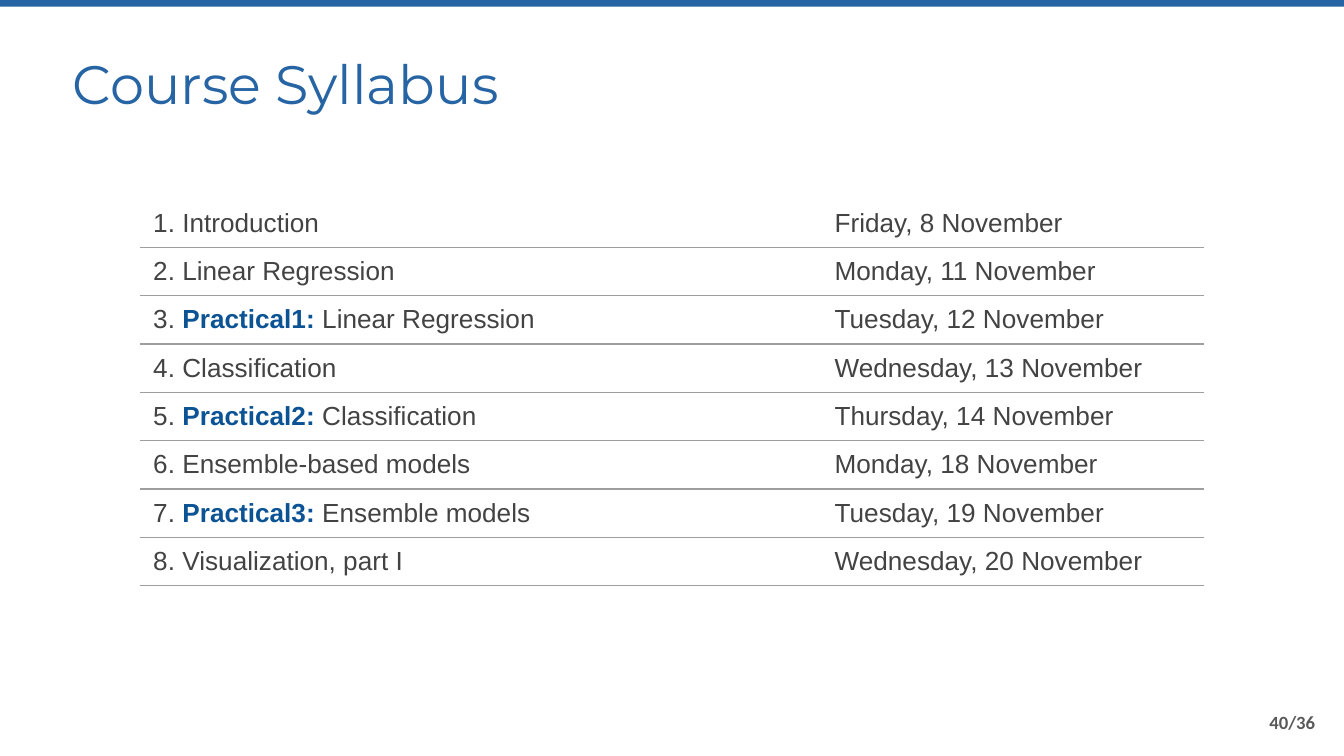
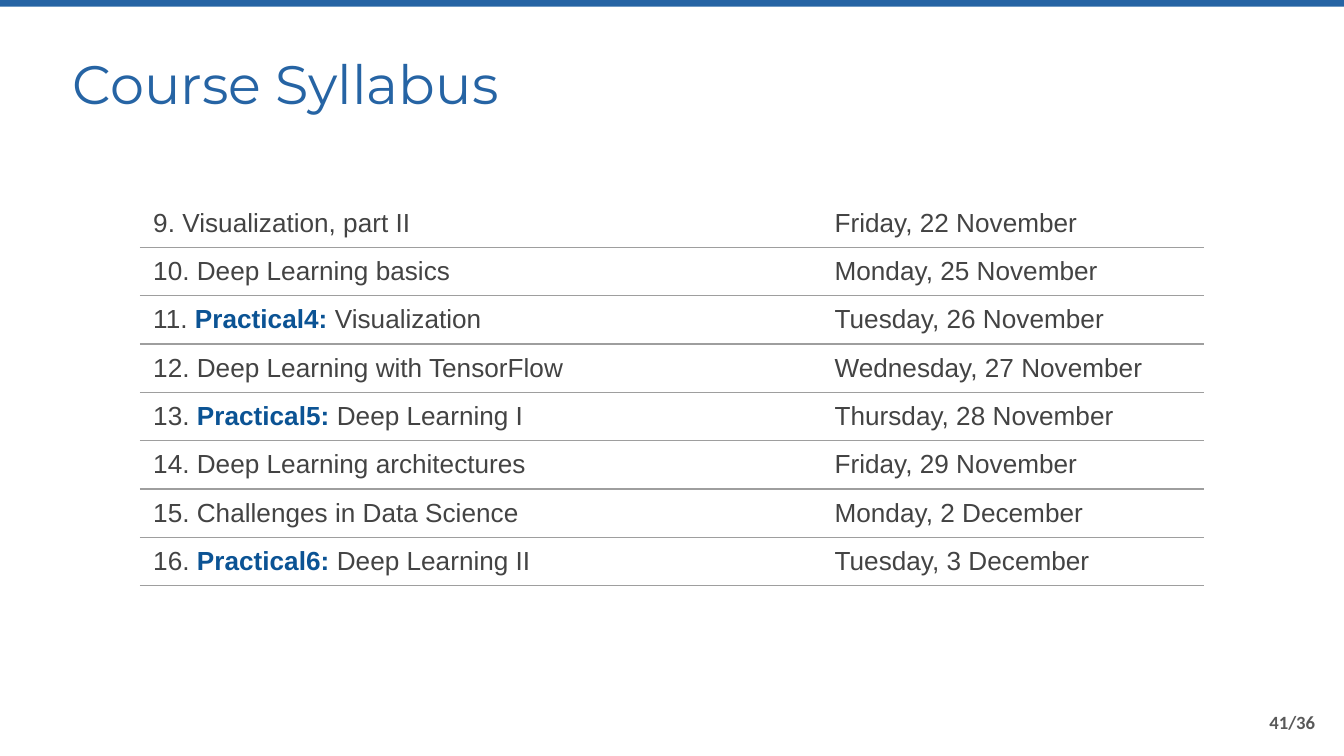
from lxml import etree
from pptx import Presentation
from pptx.dml.color import RGBColor
from pptx.enum import shapes, text
from pptx.oxml import ns
from pptx.util import Inches, Pt

BLUE = RGBColor(0x26, 0x64, 0xA4)
NAVY = RGBColor(0x0B, 0x53, 0x94)
INK = RGBColor(0x43, 0x43, 0x43)
GREY = RGBColor(0x59, 0x59, 0x59)
RULE = RGBColor(0x9E, 0x9E, 0x9E)

WIDTH = 10
TITLE = "Course Syllabus"
TOTAL = 36
FIRST = 40
COLS = (5.07, 2.85)
ROW = 0.36

PARTS = [
    [
        ("", "Introduction", "Friday, 8 November"),
        ("", "Linear Regression", "Monday, 11 November"),
        ("Practical1: ", "Linear Regression", "Tuesday, 12 November"),
        ("", "Classification", "Wednesday, 13 November"),
        ("Practical2: ", "Classification", "Thursday, 14 November"),
        ("", "Ensemble-based models", "Monday, 18 November"),
        ("Practical3: ", "Ensemble models", "Tuesday, 19 November"),
        ("", "Visualization, part I", "Wednesday, 20 November"),
    ],
    [
        ("", "Visualization, part II", "Friday, 22 November"),
        ("", "Deep Learning basics", "Monday, 25 November"),
        ("Practical4: ", "Visualization", "Tuesday, 26 November"),
        ("", "Deep Learning with TensorFlow", "Wednesday, 27 November"),
        ("Practical5: ", "Deep Learning I", "Thursday, 28 November"),
        ("", "Deep Learning architectures", "Friday, 29 November"),
        ("", "Challenges in Data Science", "Monday, 2 December"),
        ("Practical6: ", "Deep Learning II", "Tuesday, 3 December"),
    ],
]


def style(font, name, size, color, bold=False):
    font.name = name
    font.size = Pt(size)
    font.color.rgb = color
    font.bold = bold


def pad(item, left, top, right, bottom):
    item.margin_left, item.margin_top = Inches(left), Inches(top)
    item.margin_right, item.margin_bottom = Inches(right), Inches(bottom)


def add_label(slide, box, words, inset):
    frame = slide.shapes.add_textbox(*map(Inches, box)).text_frame
    frame.word_wrap = True
    pad(frame, *inset)
    frame.text = words
    return frame


def add_band(slide, box):
    band = slide.shapes.add_shape(shapes.MSO_SHAPE.RECTANGLE, *map(Inches, box))
    band.shadow.inherit = False
    band.fill.solid()
    band.fill.fore_color.rgb = BLUE
    band.line.fill.background()


def add_title(slide, box):
    frame = add_label(slide, box, TITLE, (0, 0, 0, 0))
    frame.vertical_anchor = text.MSO_ANCHOR.MIDDLE
    style(frame.paragraphs[0].font, "Montserrat", 29, BLUE)


def add_page(slide, box, page):
    frame = add_label(slide, box, f"{page}/{TOTAL}", (0.07, 0.04, 0.07, 0.04))
    para = frame.paragraphs[0]
    para.alignment = text.PP_ALIGN.CENTER
    style(para.font, "Calibri", 10, GREY, True)


def rule_cell(cell, sides):
    props = cell._tc.get_or_add_tcPr()
    for spot, side in enumerate("LRTB"):
        line = etree.Element(ns.qn(f"a:ln{side}"), w=str(Pt(0.75)))
        if side in sides:
            fill = etree.SubElement(line, ns.qn("a:solidFill"))
            etree.SubElement(fill, ns.qn("a:srgbClr"), val=str(RULE))
        else:
            etree.SubElement(line, ns.qn("a:noFill"))
        props.insert(spot, line)


def fill_cell(cell, runs, sides):
    cell.fill.background()
    pad(cell, 0.1, 0.07, 0.1, 0)
    rule_cell(cell, sides)
    para = cell.text_frame.paragraphs[0]
    style(para.font, "Arial", 14, INK)
    for words, bold in runs:
        run = para.add_run()
        run.text = words
        if bold:
            run.font.bold = True
            run.font.color.rgb = NAVY


def add_plan(slide, left, top, rows, start):
    box = (left, top, sum(COLS), ROW * len(rows))
    table = slide.shapes.add_table(len(rows), len(COLS), *map(Inches, box)).table
    table.first_row = table.horz_banding = False
    for col, width in zip(table.columns, COLS):
        col.width = Inches(width)
    for i, (tag, topic, date) in enumerate(rows):
        table.rows[i].height = Inches(ROW)
        sides = "TB" if i else "B"
        num = f"{start + i}. "
        runs = [(num, False), (tag, True), (topic, False)] if tag else [(num + topic, False)]
        fill_cell(table.cell(i, 0), runs, sides)
        fill_cell(table.cell(i, 1), [(date, False)], sides)


def add_slide(deck, page, rows, start):
    slide = deck.slides.add_slide(deck.slide_layouts[6])
    add_page(slide, (9.33, 5.25, 0.57, 0.25), page)
    add_band(slide, (-0.06, 0, 10.12, 0.05))
    add_title(slide, (0.54, 0.38, 7.65, 0.48))
    add_plan(slide, 1.04, 1.48, rows, start)


def main():
    deck = Presentation()
    deck.slide_width = Inches(WIDTH)
    deck.slide_height = Inches(WIDTH * 9 / 16)
    start = 1
    for page, rows in enumerate(PARTS, FIRST):
        add_slide(deck, page, rows, start)
        start += len(rows)
    deck.save("out.pptx")


if __name__ == "__main__":
    main()
